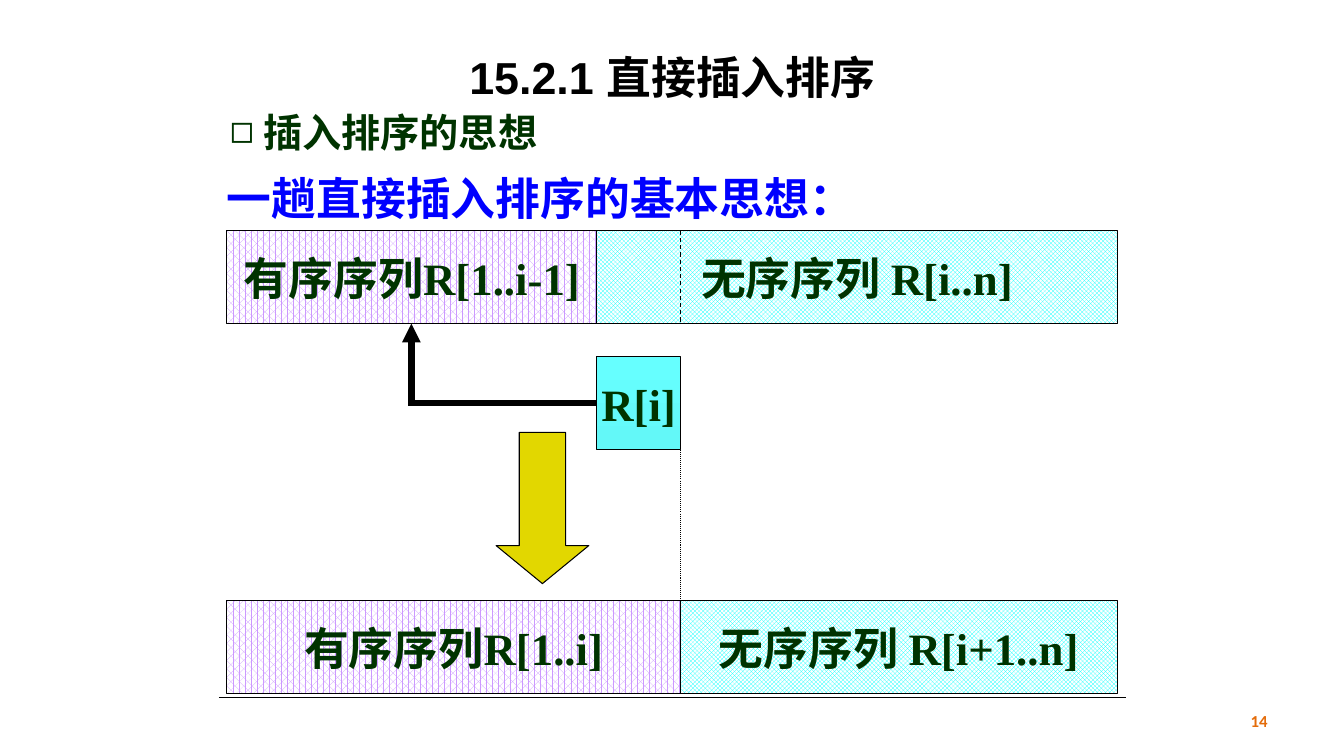
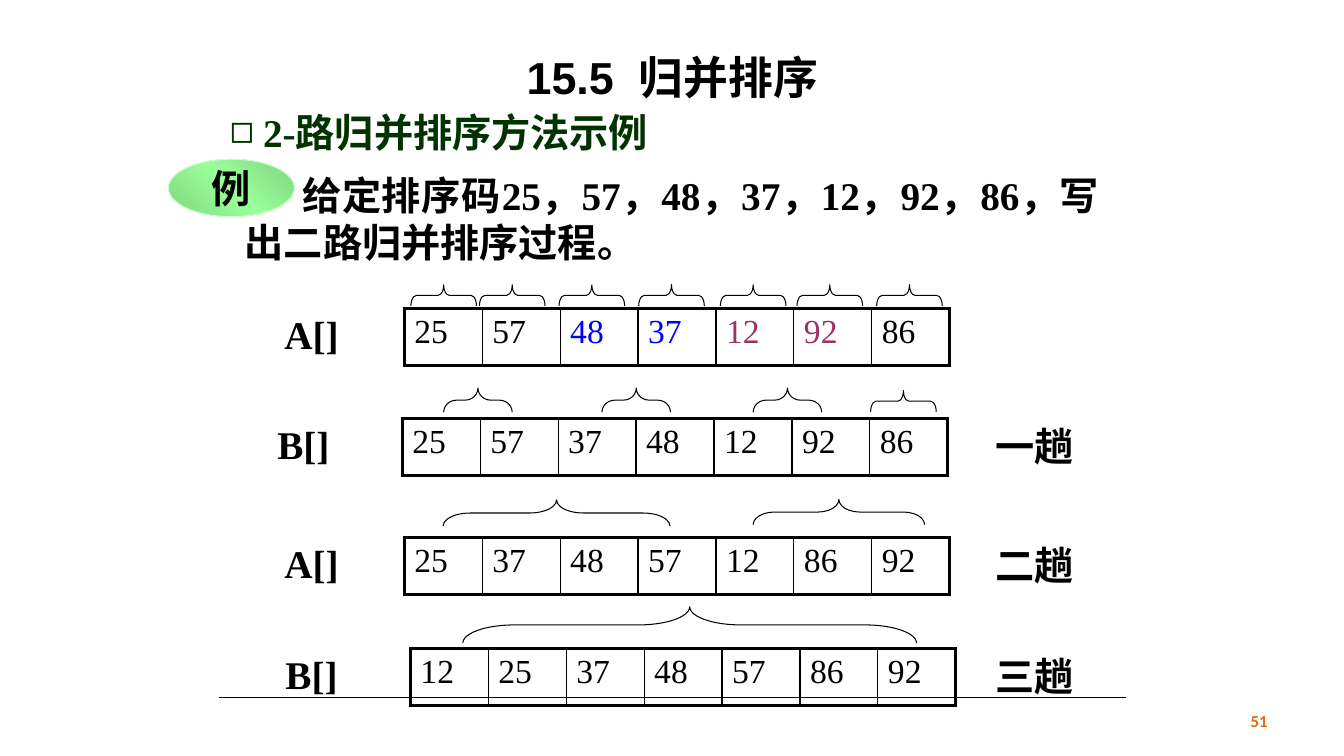
import copy

import pptx
import pptx.dml.color
import pptx.enum.dml
import pptx.enum.shapes
import pptx.enum.text
import pptx.oxml
import pptx.oxml.ns
import pptx.oxml.xmlchemy
import pptx.util

Inches = pptx.util.Inches
Pt = pptx.util.Pt
RGBColor = pptx.dml.color.RGBColor
qn = pptx.oxml.ns.qn
OxmlElement = pptx.oxml.xmlchemy.OxmlElement
SHAPE = pptx.enum.shapes.MSO_SHAPE
CONNECTOR = pptx.enum.shapes.MSO_CONNECTOR
ALIGN = pptx.enum.text.PP_ALIGN
ANCHOR = pptx.enum.text.MSO_ANCHOR
AUTO_SIZE = pptx.enum.text.MSO_AUTO_SIZE
PATTERN = pptx.enum.dml.MSO_PATTERN
DASH = pptx.enum.dml.MSO_LINE

BLACK = RGBColor(0x00, 0x00, 0x00)
WHITE = RGBColor(0xFF, 0xFF, 0xFF)
DARK_GREEN = RGBColor(0x00, 0x33, 0x00)
BLUE = RGBColor(0x00, 0x00, 0xFF)
PLUM = RGBColor(0x99, 0x33, 0x66)
ORANGE = RGBColor(0xE4, 0x6C, 0x0A)
LILAC = RGBColor(0xCC, 0x99, 0xFF)
CYAN = RGBColor(0x00, 0xFF, 0xFF)
AQUA = RGBColor(0x66, 0xFF, 0xFF)
DEEP_AQUA = RGBColor(0x63, 0xF8, 0xF8)
GOLD = RGBColor(0xE2, 0xD7, 0x00)
GREEN = RGBColor(0x80, 0xD5, 0x80)
LIGHT_GREEN = RGBColor(0x99, 0xFF, 0x99)
PALE_GREEN = RGBColor(0xCC, 0xFF, 0xCC)

SERIF = "Times New Roman"
THIN = 0.75
THICK = 2.25
ROW_W, ROW_H = 5.41, 0.57
LABEL_W = 1.2
SORTED = (PATTERN.PERCENT_60, LILAC)
UNSORTED = (PATTERN.TRELLIS, CYAN)


def add_run(p, text, size, color=BLACK, bold=True, name=SERIF):
    """Add one formatted run to a paragraph."""
    r = p.add_run()
    r.text = text
    r.font.size, r.font.bold, r.font.name = Pt(size), bold, name
    r.font.color.rgb = color


def add_text(s, box, text, size, color=BLACK, align=ALIGN.LEFT, wrap=True,
             anchor=ANCHOR.TOP, name=SERIF):
    """Add a one-paragraph text box and return its paragraph."""
    tf = s.shapes.add_textbox(*map(Inches, box)).text_frame
    tf.word_wrap, tf.vertical_anchor = wrap, anchor
    p = tf.paragraphs[0]
    p.alignment = align
    add_run(p, text, size, color, name=name)
    return p


def add_row_label(s, cx, top, text):
    """Add a label beside an array, centred on a given position."""
    add_text(s, (cx - LABEL_W / 2, top, LABEL_W, ROW_H), text, 28,
             align=ALIGN.CENTER)


def add_shape(s, kind, box, line=BLACK):
    """Add a shadowless preset shape with a thin outline."""
    sp = s.shapes.add_shape(kind, *map(Inches, box))
    sp.shadow.inherit = False
    sp.line.color.rgb = line
    sp.line.width = Pt(THIN)
    return sp


def label_shape(sp, text, size, color):
    """Centre one unwrapped line of text in a shape."""
    tf = sp.text_frame
    tf.word_wrap, tf.vertical_anchor = False, ANCHOR.MIDDLE
    tf.paragraphs[0].alignment = ALIGN.CENTER
    add_run(tf.paragraphs[0], text, size, color)


def fill_gradient(sp, angle, *colors):
    """Fill a shape with evenly spaced gradient stops."""
    sp.fill.gradient()
    sp.fill.gradient_angle = angle
    stops = sp._element.spPr.find(".//" + qn("a:gsLst"))
    while len(stops) < len(colors):
        stops.append(copy.deepcopy(stops[0]))
    for i, (stop, color) in enumerate(zip(sp.fill.gradient_stops, colors)):
        stop.position = i / (len(colors) - 1)
        stop.color.rgb = color


def add_sequence(s, left, top, width, text, style):
    """Add a patterned block that stands for a part of the list."""
    sp = add_shape(s, SHAPE.RECTANGLE, (left, top, width, 0.92))
    sp.fill.patterned()
    sp.fill.pattern, sp.fill.fore_color.rgb = style
    sp.fill.back_color.rgb = WHITE
    label_shape(sp, text, 32, DARK_GREEN)


def add_line(s, start, end, width=THIN, dash=None, kind=CONNECTOR.STRAIGHT):
    """Add a shadowless black connector."""
    cx = s.shapes.add_connector(kind, *map(Inches, start + end))
    cx.line.color.rgb = BLACK
    cx.line.width = Pt(width)
    if dash is not None:
        cx.line.dash_style = dash
    cx._element.spPr.append(OxmlElement("a:effectLst"))
    return cx


def add_corner_arrow(s, start, end):
    """Add a one-bend arrow that runs left and then up."""
    cx = add_line(s, start, end, 4.5, kind=CONNECTOR.ELBOW)
    spPr = cx._element.spPr
    spPr.find(qn("a:prstGeom")).set("prst", "bentConnector2")
    xfrm = spPr.find(qn("a:xfrm"))
    for flip in ("flipH", "flipV"):
        xfrm.attrib.pop(flip, None)
    xfrm.set("rot", "10800000")
    for tag, key, value in (("a:miter", "lim", "800000"),
                            ("a:tailEnd", "type", "triangle")):
        part = OxmlElement(tag)
        part.set(key, value)
        spPr.find(qn("a:ln")).append(part)


def add_brace(s, cx, cy, width, depth, curve):
    """Add a brace that opens downwards, centred on a point."""
    sp = add_shape(s, SHAPE.LEFT_BRACE,
                   (cx - depth / 2, cy - width / 2, depth, width))
    sp.rotation = 90
    sp.adjustments[0] = curve
    sp.fill.background()


def set_borders(cell, left, right):
    """Draw the four borders of a table cell."""
    tcPr = cell._tc.get_or_add_tcPr()
    widths = {"L": left, "R": right, "T": THICK, "B": THICK}
    for i, (side, width) in enumerate(widths.items()):
        tcPr.insert(i, pptx.oxml.parse_xml(
            '<a:ln%s xmlns:a="http://schemas.openxmlformats.org/drawingml/2006/main"'
            ' w="%d"><a:solidFill><a:srgbClr val="%s"/></a:solidFill></a:ln%s>'
            % (side, Pt(width), BLACK, side)))


def add_array(s, left, top, values, colors):
    """Add an array as a one-row table."""
    n = len(values)
    table = s.shapes.add_table(
        1, n, *map(Inches, (left, top, ROW_W, ROW_H))).table
    table.first_row = table.horz_banding = False
    for i, value in enumerate(values):
        table.columns[i].width = Inches(ROW_W / n)
        cell = table.cell(0, i)
        cell.fill.background()
        set_borders(cell, THICK if i == 0 else 1, THICK if i == n - 1 else 1)
        add_run(cell.text_frame.paragraphs[0], str(value), 24,
                colors.get(value, BLACK), bold=False)


def place_placeholders(layout):
    """Move the layout's title and body to where every slide has them."""
    boxes = ((2.17, 0, 9, 1.25), (2.18, 1.02, 4.86, 0.57))
    for ph, box in zip(layout.placeholders, boxes):
        ph.left, ph.top, ph.width, ph.height = map(Inches, box)


def add_slide(prs, title, topic, number):
    """Add a slide with title, bulleted topic, number and bottom rule."""
    s = prs.slides.add_slide(prs.slide_layouts[1])
    tf = s.shapes.title.text_frame
    tf.auto_size, tf.vertical_anchor = AUTO_SIZE.NONE, ANCHOR.MIDDLE
    p = tf.paragraphs[0]
    p.alignment, p.line_spacing = ALIGN.CENTER, 1.5
    add_run(p, title, 32, name="Arial")

    tf = s.placeholders[1].text_frame
    tf.auto_size = AUTO_SIZE.NONE
    p = tf.paragraphs[0]
    p.space_before = Pt(0)
    pPr = p._p.get_or_add_pPr()
    pPr.set("marL", str(Inches(0.33)))
    pPr.set("indent", str(Inches(-0.33)))
    bullet = OxmlElement("a:buChar")
    bullet.set("char", "◻")
    pPr.append(bullet)
    add_run(p, topic, 28, DARK_GREEN)

    add_text(s, (9.56, 6.95, 3.11, 0.4), number, 12, ORANGE, ALIGN.RIGHT,
             anchor=ANCHOR.MIDDLE, name="Calibri")
    add_line(s, (2.17, 6.92), (11.17, 6.92))
    return s


def build_insertion(prs):
    """Build the slide on one pass of straight insertion sort."""
    s = add_slide(prs, "15.2.1 直接插入排序", "插入排序的思想", "14")
    add_text(s, (2.15, 1.64, 6.51, 0.64), "一趟直接插入排序的基本思想：",
             32, BLUE, wrap=False)
    add_sequence(s, 2.25, 2.29, 3.67, "有序序列R[1..i-1]", SORTED)
    add_sequence(s, 5.92, 2.29, 5.16, "无序序列 R[i..n]", UNSORTED)
    add_sequence(s, 2.25, 5.96, 4.5, "有序序列R[1..i]", SORTED)
    add_sequence(s, 6.75, 5.96, 4.33, "无序序列 R[i+1..n]", UNSORTED)

    record = add_shape(s, SHAPE.RECTANGLE, (5.92, 3.54, 0.83, 0.92))
    fill_gradient(record, 270, AQUA, DEEP_AQUA)
    label_shape(record, "R[i]", 32, DARK_GREEN)

    add_corner_arrow(s, (5.92, 4), (4.08, 3.21))
    arrow = add_shape(s, SHAPE.DOWN_ARROW, (4.92, 4.29, 0.92, 1.5))
    arrow.adjustments[0], arrow.adjustments[1] = 0.5, 0.41
    arrow.fill.solid()
    arrow.fill.fore_color.rgb = GOLD
    add_line(s, (6.75, 2.29), (6.75, 3.21), dash=DASH.DASH)
    add_line(s, (6.75, 4.46), (6.75, 5.96), dash=DASH.ROUND_DOT)


def build_merge(prs):
    """Build the slide with the two-way merge sort example."""
    s = add_slide(prs, "15.5  归并排序", "2-路归并排序方法示例", "51")
    p = add_text(s, (2.33, 1.65, 8.67, 1.03),
                 "给定排序码25，57，48，37，12，92，86，写出二路归并排序过程。",
                 28, align=ALIGN.JUSTIFY)
    p._p.get_or_add_pPr().set("indent", str(Inches(0.57)))

    pair_colors = {48: BLUE, 37: BLUE, 12: PLUM, 92: PLUM}
    passes = (
        ("A[]", 3.09, 4.01, 3.06, (25, 57, 48, 37, 12, 92, 86), pair_colors, ""),
        ("B[]", 3.01, 3.99, 4.15, (25, 57, 37, 48, 12, 92, 86), {}, "一趟"),
        ("A[]", 3.09, 4.01, 5.33, (25, 37, 48, 57, 12, 86, 92), {}, "二趟"),
        ("B[]", 3.09, 4.07, 6.43, (12, 25, 37, 48, 57, 86, 92), {}, "三趟"),
    )
    for name, name_cx, left, top, values, colors, step in passes:
        add_array(s, left, top, values, colors)
        add_row_label(s, name_cx, top - 0.03, name)
        if step:
            add_row_label(s, 10.26, top - 0.01, step)

    braces = (
        ((4.4, 5.08, 5.87, 6.66, 7.47, 8.23, 9.02), 2.93, 0.65, 0.21, 0.26),
        ((4.74, 6.31, 7.81), 3.97, 0.68, 0.24, 0.53),
        ((8.96,), 3.98, 0.65, 0.21, 0.26),
        ((5.52,), 5.09, 2.25, 0.26, 1.03),
        ((8.32,), 5.08, 1.7, 0.25, 0.83),
        ((6.84,), 6.2, 4.5, 0.36, 1.42),
    )
    for centres, cy, width, depth, curve in braces:
        for cx in centres:
            add_brace(s, cx, cy, width, depth, curve)

    badge = add_shape(s, SHAPE.OVAL, (1.67, 1.58, 1.25, 0.57), PALE_GREEN)
    fill_gradient(badge, 45, GREEN, LIGHT_GREEN, GREEN)
    label_shape(badge, "例", 28, BLACK)


def main():
    """Build and save the presentation."""
    prs = pptx.Presentation()
    prs.slide_width, prs.slide_height = Inches(13.33), Inches(7.5)
    place_placeholders(prs.slide_layouts[1])
    build_insertion(prs)
    build_merge(prs)
    prs.save("out.pptx")


if __name__ == "__main__":
    main()
